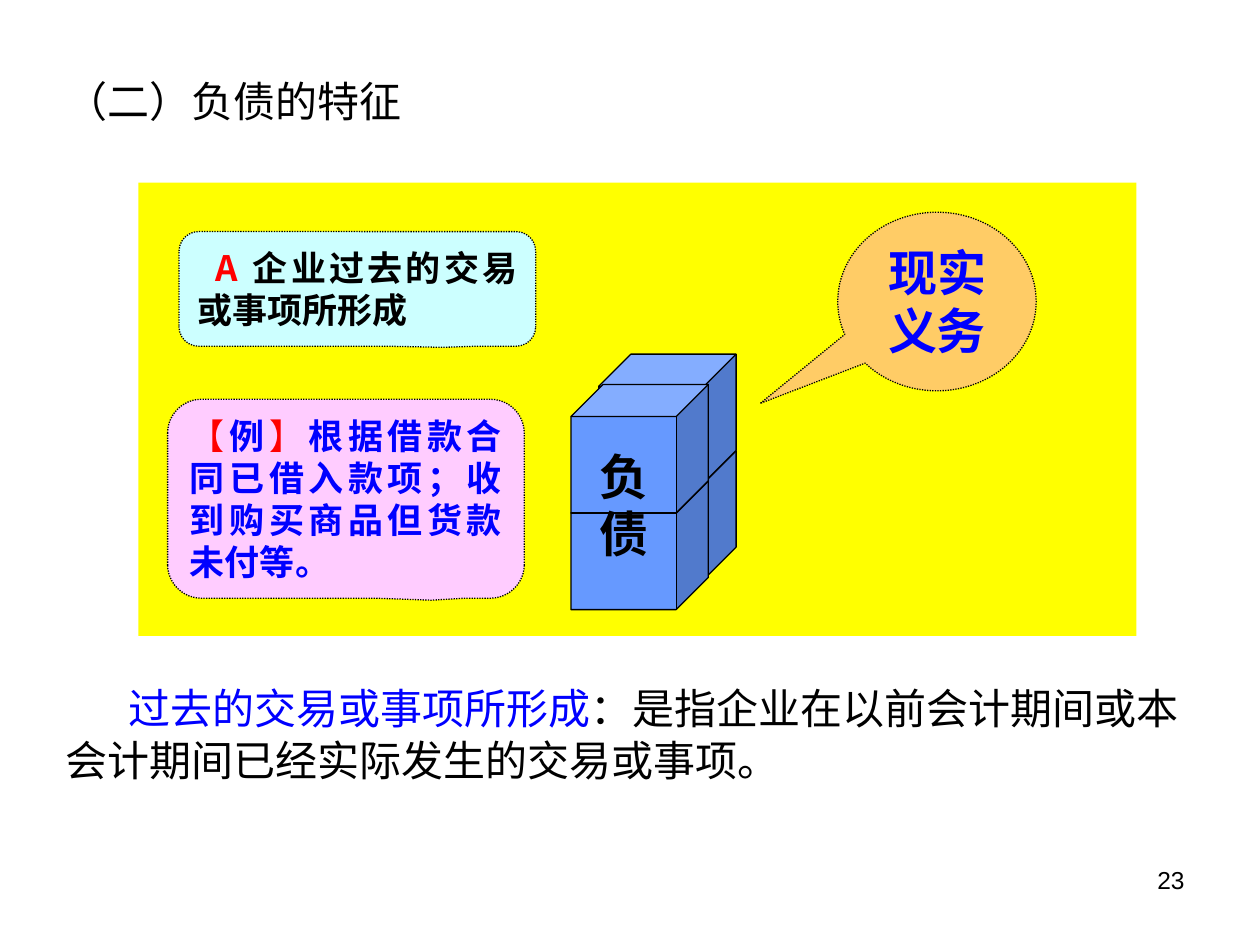
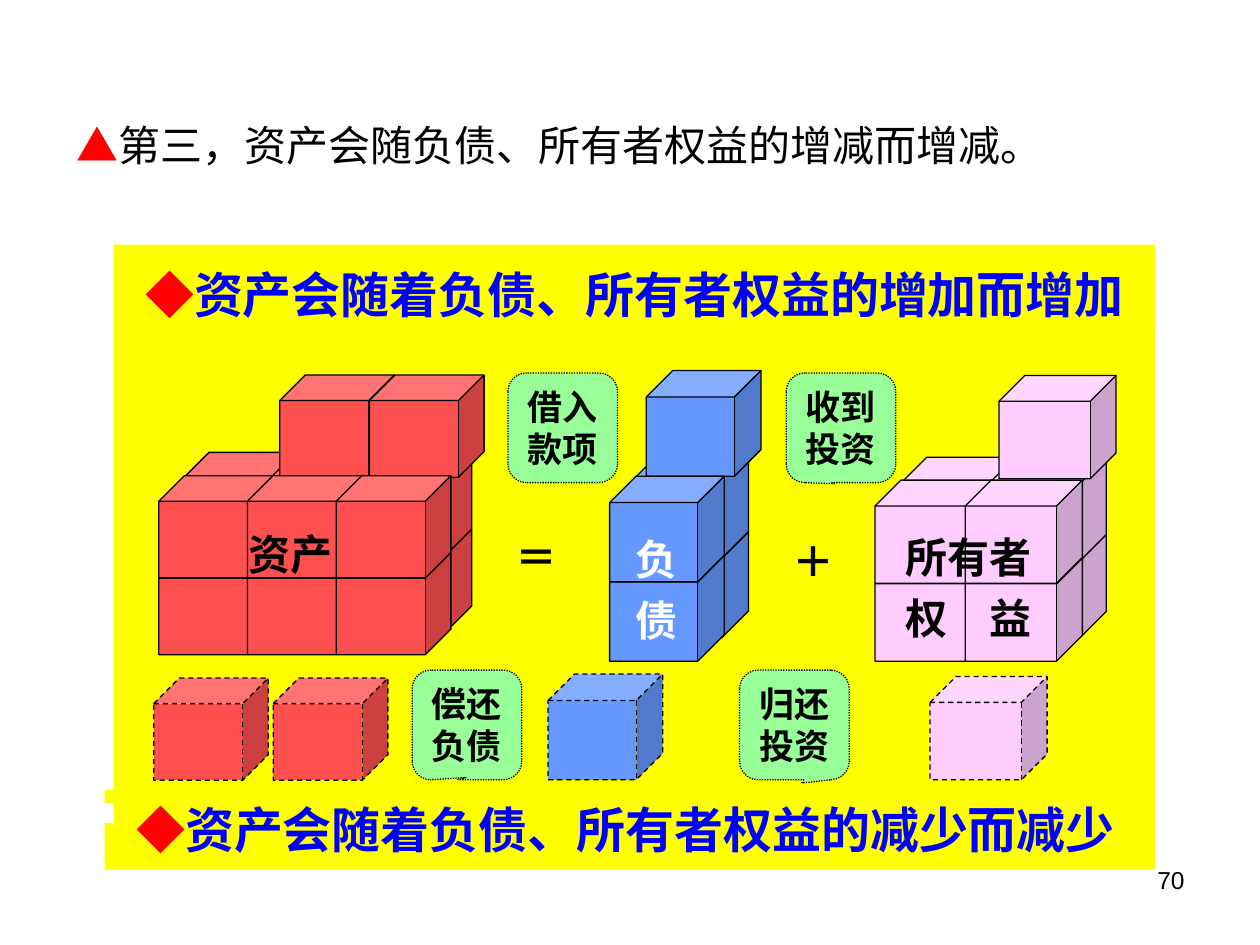
from lxml import etree
from pptx import Presentation
from pptx.dml.color import RGBColor
from pptx.enum.dml import MSO_LINE
from pptx.enum.lang import MSO_LANGUAGE_ID
from pptx.enum.shapes import MSO_SHAPE
from pptx.enum.text import MSO_ANCHOR, PP_ALIGN
from pptx.oxml.ns import qn
from pptx.util import Cm, Pt

# Shared style
RECTANGLE = MSO_SHAPE.RECTANGLE
CUBE = MSO_SHAPE.CUBE
BAND = MSO_SHAPE.RECTANGULAR_CALLOUT
ROUND_CALLOUT = MSO_SHAPE.ROUNDED_RECTANGULAR_CALLOUT
OVAL_CALLOUT = MSO_SHAPE.OVAL_CALLOUT
DOTTED, DASHED = MSO_LINE.ROUND_DOT, MSO_LINE.DASH
LEFT, CENTER = PP_ALIGN.LEFT, PP_ALIGN.CENTER
RIGHT, JUSTIFY = PP_ALIGN.RIGHT, PP_ALIGN.JUSTIFY
TOP, MIDDLE = MSO_ANCHOR.TOP, MSO_ANCHOR.MIDDLE
CHINESE = MSO_LANGUAGE_ID.SIMPLIFIED_CHINESE

BLACK, WHITE, RED, BLUE = "000000", "FFFFFF", "FF0000", "0000FF"
YELLOW, GREEN, CYAN, ORANGE = "FFFF00", "99FF99", "CCFFFF", "FFCC66"
ASSET, LIABILITY, EQUITY = "FF5050", "6699FF", "FFCCFF"
SANS, SERIF, NUMBER_FONT = "Noto Sans CJK SC", "Times New Roman", "Arial"
LINE_HEIGHTS = {14: 16, 20: 24, 24: 30, 28: 33}


def rgb(value):
    return RGBColor.from_string(value)


class Deck:
    """Holds the presentation, its style and the current slide."""

    def __init__(self):
        self.presentation = Presentation()
        self.presentation.slide_width = Cm(25.4)
        self.presentation.slide_height = Cm(19.05)
        self.slide = None

    def new_slide(self, number):
        layout = self.presentation.slide_layouts[6]
        self.slide = self.presentation.slides.add_slide(layout)
        self.text((18.21, 17.35, 5.92, 1.32), [(str(number), BLACK)],
                  size=14, font=NUMBER_FONT, align=RIGHT)

    def add_runs(self, paragraph, runs, size, font, align=LEFT, bold=False,
                 indent=0, line_height=None):
        """Fill a paragraph with runs of (words, colour[, bold])."""
        paragraph.alignment = align
        paragraph.line_spacing = Pt(line_height or LINE_HEIGHTS[size])
        if indent:
            paragraph._p.get_or_add_pPr().set("indent", str(Cm(indent)))
        for words, color, *weight in runs:
            run = paragraph.add_run()
            run.text = words
            run.font.size = Pt(size)
            run.font.bold = weight[0] if weight else bold
            run.font.name = font
            run.font.color.rgb = rgb(color)
            run.font.language_id = CHINESE
            east_asian = etree.SubElement(run._r.get_or_add_rPr(), qn("a:ea"))
            east_asian.set("typeface", SANS)

    def frame(self, shape, anchor):
        frame = shape.text_frame
        frame.word_wrap = True
        frame.vertical_anchor = anchor
        return frame

    def text(self, box, runs, size=24, font=SANS, **style):
        shape = self.slide.shapes.add_textbox(*map(Cm, box))
        frame = self.frame(shape, TOP)
        self.add_runs(frame.paragraphs[0], runs, size, font, **style)
        return frame

    def label(self, box, words, color=BLACK, size=24, **style):
        return self.text(box, [(words, color)], size, SERIF,
                         align=CENTER, bold=True, **style)

    def shape(self, kind, box, fill, dash=None, outlined=True, adjust=()):
        shape = self.slide.shapes.add_shape(kind, *map(Cm, box))
        shape.shadow.inherit = False
        shape.fill.solid()
        shape.fill.fore_color.rgb = rgb(fill)
        for index, value in enumerate(adjust):
            shape.adjustments[index] = value
        if outlined:
            shape.line.color.rgb = rgb(BLACK)
            shape.line.width = Pt(0.75)
            if dash:
                shape.line.dash_style = dash
        else:
            shape.line.fill.background()
        return shape

    def callout(self, kind, box, fill, runs, tail, size=20, font=SERIF,
                align=CENTER, outlined=True, **style):
        shape = self.shape(kind, box, fill, DOTTED, outlined, tail)
        frame = self.frame(shape, MIDDLE)
        self.add_runs(frame.paragraphs[0], runs, size, font, align,
                      bold=True, **style)

    def band(self, left, top, words):
        self.callout(BAND, (left, top, 21, 1.6), YELLOW,
                     [("◆", RED), (words, BLUE)], (-0.11, -0.06),
                     size=28, outlined=False)

    def cubes(self, fill, size, start, columns=1, rows=1, step=(0, 0),
              dash=None):
        """Build a wall of cubes upwards from its lower left cube."""
        for row in range(rows):
            for column in range(columns):
                left = start[0] + column * step[0]
                top = start[1] - row * step[1]
                self.shape(CUBE, (left, top, *size), fill, dash)


def liability_features(deck):
    deck.new_slide(23)
    deck.text((1.07, 1.35, 21.39, 1.8), [("（二）负债的特征", BLACK)])
    deck.text((1.07, 13.59, 23.5, 4.2),
              [("过去的交易或事项所形成", BLUE),
               ("：是指企业在以前会计期间或本会计期间已经实际发生的交易或事项。",
                BLACK)], indent=1.27)

    # Yellow panel with its callouts
    deck.shape(RECTANGLE, (2.79, 3.68, 20.12, 9.14), YELLOW, outlined=False)
    deck.callout(ROUND_CALLOUT, (3.61, 4.67, 7.19, 2.31), CYAN,
                 [("A ", RED), ("企业过去的交易或事项所形成", BLACK)],
                 (0.24, 0.51, 0.17), font=SANS, align=JUSTIFY, indent=0.38)
    deck.callout(OVAL_CALLOUT, (16.89, 4.28, 4, 3.6), ORANGE,
                 [("现实义务", BLUE)], (-0.89, 0.57), size=28)
    deck.callout(ROUND_CALLOUT, (3.38, 8.05, 7.19, 4.01), EQUITY,
                 [("【", RED, False), ("例", BLUE), ("】", RED, False),
                  ("根据借款合同已借入款项；收到购买商品但货款未付等。", BLUE)],
                 (0.24, 0.51, 0.17), font=SANS, align=JUSTIFY)

    # Block of liabilities
    for start in ((12.07, 9.09), (11.51, 9.7)):
        deck.cubes(LIABILITY, (2.77, 2.59), start, rows=2, step=(0, 1.95))
    deck.label((11.58, 8.89, 2.01, 2.79), "负 债", size=28)


def accounting_equation(deck):
    deck.new_slide(70)
    deck.text((1.3, 2.24, 22, 1.93),
              [("▲", RED),
               ("第三，资产会随负债、所有者权益的增减而增减。", BLACK)])

    # Yellow panel with its headline bands
    deck.shape(BAND, (2.29, 4.93, 21, 12.6), YELLOW, outlined=False,
               adjust=(-0.5, 0.04))
    deck.band(2.29, 5.13, "资产会随着负债、所有者权益的增加而增加")
    deck.band(2.11, 15.93, "资产会随着负债、所有者权益的减少而减少")

    # Assets: back wall, added cubes, front wall, removed cubes
    size = (2.31, 2.06)
    deck.cubes(ASSET, size, (3.7, 10.67), 3, 2, (1.75, 1.55))
    deck.cubes(ASSET, size, (5.64, 7.56), 2, step=(1.81, 0))
    deck.cubes(ASSET, size, (3.2, 11.14), 3, 2, (1.79, 1.55))
    deck.cubes(ASSET, size, (3.1, 13.67), 2, step=(2.41, 0), dash=DASHED)
    deck.label((4.6, 10.49, 2.51, 1.63), "资产")

    # Liabilities
    size = (2.31, 2.13)
    deck.cubes(LIABILITY, size, (12.78, 10.72), rows=2, step=(0, 1.6))
    deck.cubes(LIABILITY, size, (13.03, 7.47))
    deck.cubes(LIABILITY, size, (12.29, 11.2), rows=2, step=(0, 1.6))
    deck.cubes(LIABILITY, size, (11.05, 13.59), dash=DASHED)
    deck.label((12.4, 10.41, 1.68, 2.29), "负 债", WHITE, line_height=35)

    # Owners' equity
    size = (2.36, 2.08)
    deck.cubes(EQUITY, size, (18.16, 10.77), 2, 2, (1.78, 1.55))
    deck.cubes(EQUITY, size, (20.14, 7.57))
    deck.cubes(EQUITY, size, (17.64, 11.25), 2, 2, (1.82, 1.57))
    deck.cubes(EQUITY, size, (18.75, 13.64), dash=DASHED)
    frame = deck.label((17.75, 10.54, 3.56, 2.36), "所有者")
    deck.add_runs(frame.add_paragraph(), [("权　益", BLACK)], 24, SERIF,
                  CENTER, bold=True, line_height=35)

    # Signs of the equation
    deck.label((9.91, 10.54, 1.8, 1.37), "＝")
    deck.label((15.7, 10.62, 1.4, 1.12), "＋")

    # Events that change both sides
    for left, top, words, tail in (
            (10.24, 7.52, "借入款项", (-0.06, 0.5)),
            (15.85, 7.52, "收到投资", (-0.06, 0.51)),
            (8.31, 13.51, "偿还负债", (-0.01, 0.48)),
            (14.91, 13.51, "归还投资", (0.07, 0.53))):
        deck.callout(ROUND_CALLOUT, (left, top, 2.21, 2.21), GREEN,
                     [(words, BLACK)], (*tail, 0.17))


def main():
    deck = Deck()
    liability_features(deck)
    accounting_equation(deck)
    deck.presentation.save("out.pptx")


if __name__ == "__main__":
    main()
